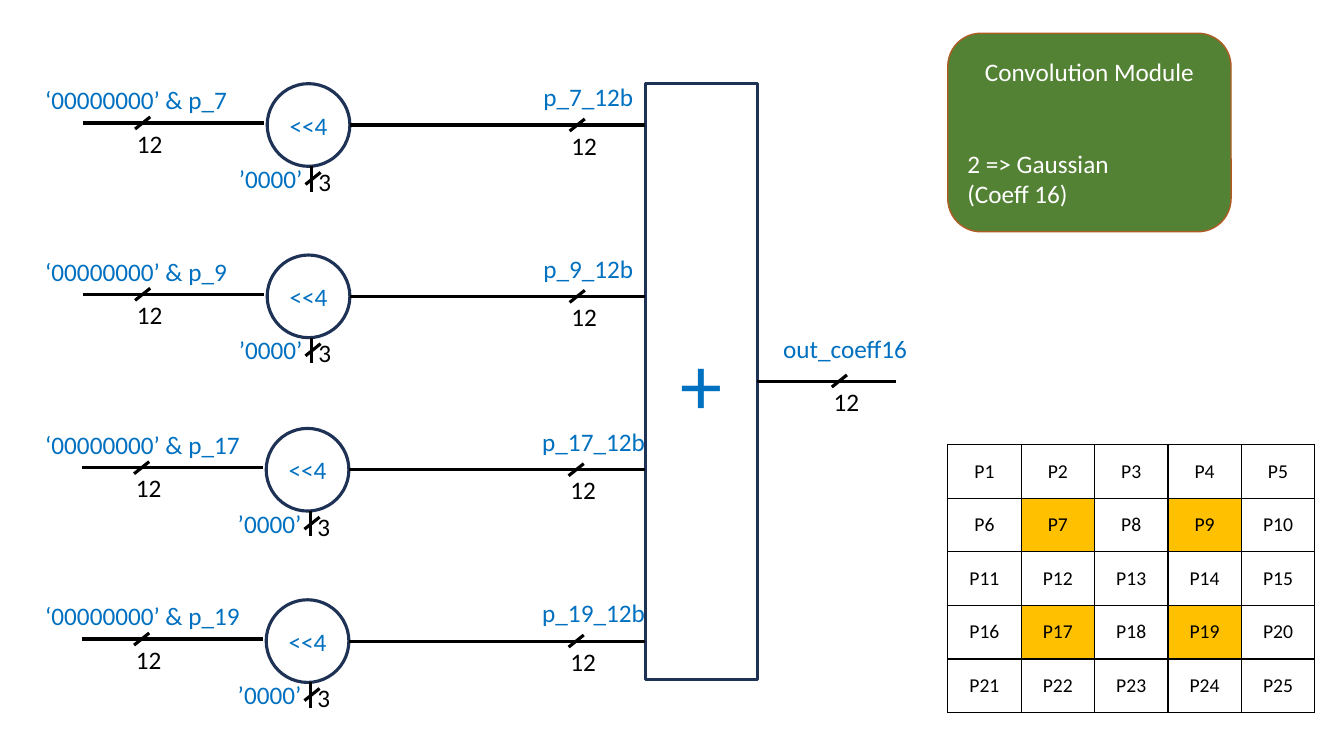
"""Build the slide of the Gaussian convolution module with its four shifted inputs."""
from dataclasses import dataclass
from typing import Any

from pptx import Presentation
from pptx import util as u
from pptx.dml import color as c
from pptx.enum import shapes as s, text as t
from pptx.oxml import ns, xmlchemy as x

BLACK = c.RGBColor(0x00, 0x00, 0x00)
WHITE = c.RGBColor(0xFF, 0xFF, 0xFF)
BLUE = c.RGBColor(0x00, 0x70, 0xC0)
NAVY = c.RGBColor(0x1E, 0x32, 0x56)
GREEN = c.RGBColor(0x54, 0x82, 0x35)
RUST = c.RGBColor(0xAF, 0x5C, 0x24)
GOLD = c.RGBColor(0xFF, 0xC0, 0x00)


@dataclass
class Box:
    kind: s.MSO_SHAPE
    left: float
    top: float
    width: float
    height: float
    edge: c.RGBColor = NAVY
    weight: float = 2.25
    fill: c.RGBColor | None = None


@dataclass
class Label:
    text: str
    left: float
    top: float
    width: float
    color: c.RGBColor = BLUE
    wrap: bool = True


@dataclass
class Wire:
    left: float
    top: float
    right: float
    bottom: float


@dataclass
class Input:
    pixel: int
    left: float
    top: float
    width: float


INPUTS = [
    Input(7, 2.65, 0.83, 1.12),
    Input(9, 2.65, 2.53, 1.12),
    Input(17, 2.64, 4.25, 1.36),
    Input(19, 2.64, 5.95, 1.36),
]
MARKED = {item.pixel for item in INPUTS}


def put(item: Any, **vals: Any) -> None:
    for name, val in vals.items():
        setattr(item, name, val)


def write(para: Any, text: str, size: float, color: c.RGBColor,
          align: t.PP_ALIGN = t.PP_ALIGN.CENTER) -> None:
    put(para, text=text, alignment=align)
    put(para.font, name="Calibri", size=u.Pt(size))
    para.font.color.rgb = color


def add_box(slide: Any, box: Box) -> Any:
    shape = slide.shapes.add_shape(
        box.kind, *map(u.Inches, (box.left, box.top, box.width, box.height)))
    shape.shadow.inherit = False
    if box.fill is None:
        shape.fill.background()
    else:
        shape.fill.solid()
        shape.fill.fore_color.rgb = box.fill
    shape.line.color.rgb = box.edge
    shape.line.width = u.Pt(box.weight)
    put(shape.text_frame, vertical_anchor=t.MSO_ANCHOR.MIDDLE, word_wrap=True)
    return shape


def add_label(slide: Any, label: Label) -> None:
    box = slide.shapes.add_textbox(
        *map(u.Inches, (label.left, label.top, label.width, 0.4)))
    put(box.text_frame, word_wrap=label.wrap,
        auto_size=t.MSO_AUTO_SIZE.SHAPE_TO_FIT_TEXT)
    write(box.text_frame.paragraphs[0], label.text, 18, label.color,
          t.PP_ALIGN.LEFT)


def add_wire(slide: Any, wire: Wire) -> Any:
    line = slide.shapes.add_connector(
        s.MSO_CONNECTOR.STRAIGHT,
        *map(u.Inches, (wire.left, wire.top, wire.right, wire.bottom)))
    line.line.color.rgb = BLACK
    line.line.width = u.Pt(2.25)
    line._element.spPr.append(x.OxmlElement("a:effectLst"))
    return line


def add_slash(slide: Any, left: float, mid: float) -> None:
    add_wire(slide, Wire(left, mid + 0.06, left + 0.15, mid - 0.06))


def add_bus(slide: Any, wire: Wire, slash: float) -> Any:
    line = add_wire(slide, wire)
    add_slash(slide, slash, wire.top)
    add_label(slide, Label("12", slash - 0.08, wire.top, 0.46, BLACK, False))
    return line


def add_input(slide: Any, item: Input) -> None:
    left, top = item.left, item.top
    add_label(slide, Label(f"‘00000000’ & p_{item.pixel}", 0.35, top - 0.04, 2.25))
    add_bus(slide, Wire(left - 1.83, top + 0.39, left - 0.03, top + 0.39),
            left - 1.31)
    disc = add_box(slide, Box(s.MSO_SHAPE.OVAL, left, top, 0.82, 0.82))
    write(disc.text_frame.paragraphs[0], "<<4", 18, BLUE)
    add_wire(slide, Wire(left + 0.44, top + 0.82, left + 0.44, top + 1.07))
    add_slash(slide, left + 0.38, top + 0.94)
    add_label(slide, Label("’0000’", left - 0.38, top + 0.74, 0.86))
    add_label(slide, Label("3", left + 0.41, top + 0.77, 0.33, BLACK, False))
    add_bus(slide, Wire(left + 0.82, top + 0.41, 6.4, top + 0.41), left + 3)
    add_label(slide, Label(f"p_{item.pixel}_12b", left + 2.64, top - 0.07,
                           item.width))


def add_border(cell: Any) -> None:
    props = cell._tc.get_or_add_tcPr()
    for spot, side in enumerate(("lnL", "lnR", "lnT", "lnB")):
        line = x.OxmlElement(f"a:{side}")
        line.set("w", str(u.Pt(1)))
        fill = x.OxmlElement("a:solidFill")
        tint = x.OxmlElement("a:srgbClr")
        tint.set("val", str(BLACK))
        fill.append(tint)
        line.append(fill)
        props.insert(spot, line)


def add_grid(slide: Any, count: int = 5) -> None:
    table = slide.shapes.add_table(
        count, count, *map(u.Inches, (9.4, 4.41, 3.64, 2.66))).table
    put(table, first_row=False, horz_banding=False)
    for spot, cell in enumerate(table.iter_cells(), 1):
        put(cell, vertical_anchor=t.MSO_ANCHOR.MIDDLE,
            margin_left=u.Inches(0.08), margin_right=u.Inches(0.08),
            margin_top=u.Inches(0.04), margin_bottom=u.Inches(0.04))
        write(cell.text_frame.paragraphs[0], f"P{spot}", 14, BLACK)
        if spot in MARKED:
            cell.fill.solid()
            cell.fill.fore_color.rgb = GOLD
        else:
            cell.fill.background()
        add_border(cell)


def add_module(slide: Any) -> None:
    card = add_box(slide, Box(s.MSO_SHAPE.ROUNDED_RECTANGLE, 9.4, 0.33, 2.81,
                              1.97, RUST, 1, GREEN))
    frame = card.text_frame
    write(frame.paragraphs[0], "Convolution Module", 18, WHITE)
    for text, gap in (("2 => Gaussian", 44), ("(Coeff 16)", 0)):
        para = frame.add_paragraph()
        write(para, text, 18, WHITE, t.PP_ALIGN.LEFT)
        para.space_before = u.Pt(gap)


def main() -> None:
    deck = Presentation()
    put(deck, slide_width=u.Inches(13.33), slide_height=u.Inches(7.5))
    slide = deck.slides.add_slide(deck.slide_layouts[6])
    add_module(slide)
    add_grid(slide)
    adder = add_box(slide, Box(s.MSO_SHAPE.RECTANGLE, 6.4, 0.83, 1.11, 5.91))
    write(adder.text_frame.paragraphs[0], "+", 60, BLUE)
    result = add_bus(slide, Wire(7.51, 3.78, 8.89, 3.78), 8.25)
    result.begin_connect(adder, 3)
    result.end_y = result.begin_y
    add_label(slide, Label("out_coeff16", 7.67, 3.26, 1.47))
    for item in INPUTS:
        add_input(slide, item)
    deck.save("out.pptx")


if __name__ == "__main__":
    main()
